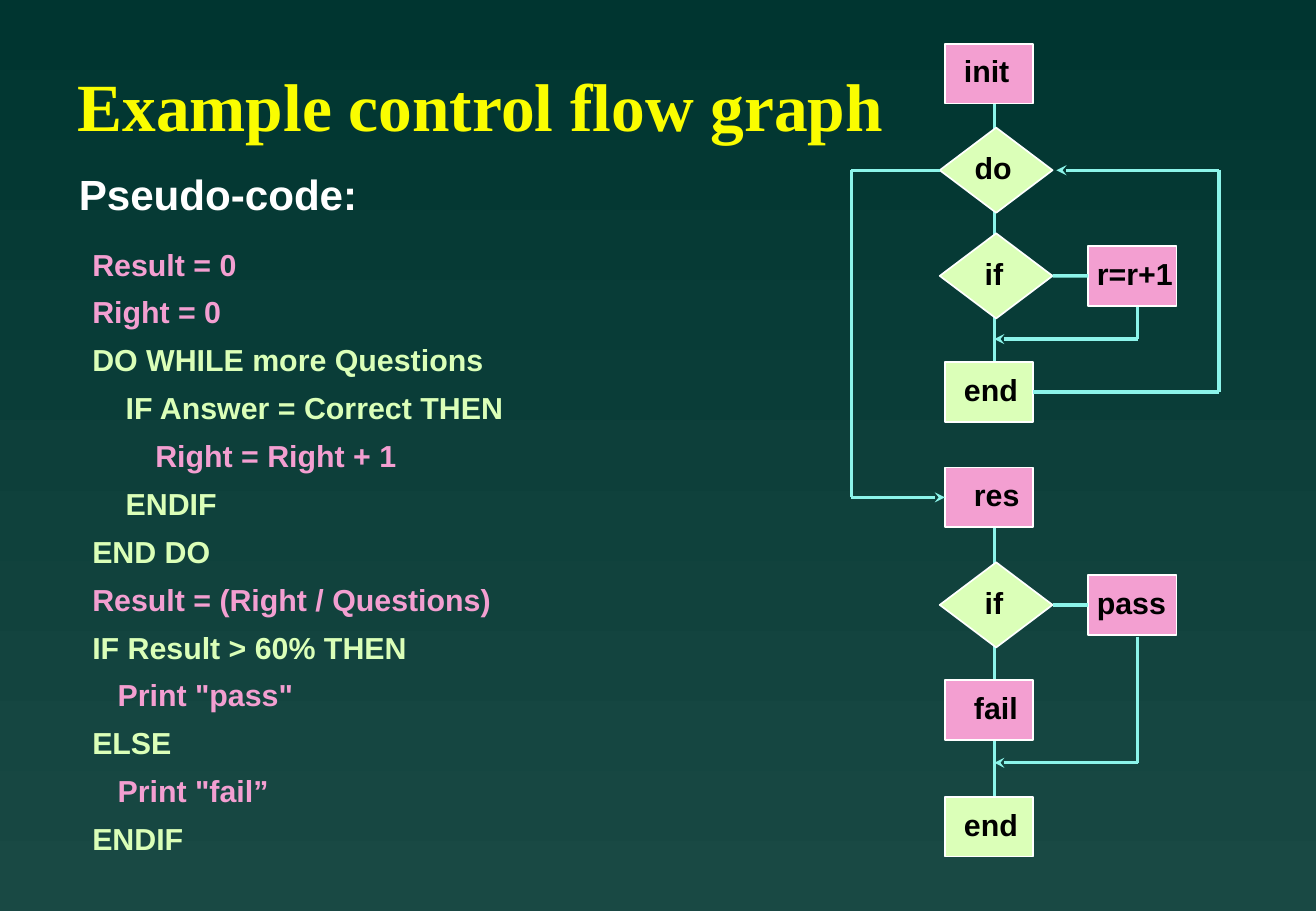
from dataclasses import dataclass
from itertools import pairwise

from lxml.etree import SubElement
from pptx import Presentation
from pptx.dml.color import RGBColor
from pptx.enum.shapes import MSO_CONNECTOR, MSO_SHAPE
from pptx.enum.text import MSO_ANCHOR, MSO_AUTO_SIZE, PP_ALIGN
from pptx.oxml.ns import qn
from pptx.shapes.autoshape import Shape
from pptx.slide import Slide
from pptx.text.text import TextFrame, _Paragraph
from pptx.util import Cm, Pt


@dataclass(frozen=True)
class Theme:
    top: str = "003530"
    base: str = "194944"
    head: str = "FAFD00"
    pink: str = "F39FD1"
    lime: str = "DBFFB8"
    wire: str = "8CF4EA"
    white: str = "FFFFFF"
    black: str = "000000"
    serif: str = "Times New Roman"
    sans: str = "Arial"
    big: int = 40
    mid: int = 25
    small: int = 18


THEME = Theme()
Point = tuple[float, float]


@dataclass(frozen=True)
class Line:
    text: str
    color: str
    indent: float = 0


@dataclass(frozen=True)
class Node:
    """A box or diamond, placed by its centre; pad is the text's left inset."""
    key: str
    text: str
    x: float
    y: float
    color: str
    pad: float
    choice: bool = False


@dataclass(frozen=True)
class Route:
    """A chain of straight lines; start and stop are (node key, side)."""
    points: list[Point]
    start: tuple[str, int] | None = None
    stop: tuple[str, int] | None = None
    arrow: bool = True


CODE = [
    Line("Result = 0", THEME.pink),
    Line("Right = 0", THEME.pink),
    Line("DO WHILE more Questions", THEME.lime),
    Line("IF Answer = Correct THEN", THEME.lime, 0.7),
    Line("Right = Right + 1", THEME.pink, 1.32),
    Line("ENDIF", THEME.lime, 0.7),
    Line("END DO", THEME.lime),
    Line("Result = (Right / Questions)", THEME.pink),
    Line("IF Result > 60% THEN", THEME.lime),
    Line('Print "pass"', THEME.pink, 0.53),
    Line("ELSE", THEME.lime),
    Line('Print "fail”', THEME.pink, 0.53),
    Line("ENDIF", THEME.lime),
]

BOX_X, FORK_X, SIDE_X = 20.69, 20.84, 23.69
SPINE, DROP, LEFT, RIGHT = 20.8, 23.8, 17.81, 25.5
BOX, FORK = (1.85, 1.25), (2.36, 1.78)
DO_Y, IF_Y, END_Y, RES_Y, TEST_Y = 3.56, 5.77, 8.2, 10.4, 12.65

NODES = [
    Node("init", "init", BOX_X, 1.54, THEME.pink, 0.4),
    Node("do", "do", FORK_X, DO_Y, THEME.lime, 0.14, True),
    Node("if", "if", FORK_X, IF_Y, THEME.lime, 0.35, True),
    Node("add", "r=r+1", SIDE_X, IF_Y, THEME.pink, 0.18),
    Node("end", "end", BOX_X, END_Y, THEME.lime, 0.4),
    Node("res", "res", BOX_X, RES_Y, THEME.pink, 0.61),
    Node("test", "if", FORK_X, TEST_Y, THEME.lime, 0.35, True),
    Node("pass", "pass", SIDE_X, TEST_Y, THEME.pink, 0.18),
    Node("fail", "fail", BOX_X, 14.85, THEME.pink, 0.61),
    Node("last", "end", BOX_X, 17.29, THEME.lime, 0.4),
]

SPINES = [
    Route([(SPINE, 1.78), (SPINE, END_Y)], arrow=False),
    Route([(SPINE, RES_Y), (SPINE, 17.1)], arrow=False),
]

ROUTES = [
    Route([(19.66, DO_Y), (LEFT, DO_Y), (LEFT, RES_Y), (19.76, RES_Y)],
          ("do", 1), ("res", 1)),
    Route([(22.02, IF_Y), (22.76, IF_Y)], ("if", 3), ("add", 1), False),
    Route([(22.02, TEST_Y), (22.76, TEST_Y)], ("test", 3), ("pass", 1), False),
    Route([(DROP, 6.43), (DROP, 7.09), (SPINE, 7.09)]),
    Route([(21.61, END_Y), (RIGHT, END_Y), (RIGHT, DO_Y), (22.1, DO_Y)],
          ("end", 3)),
    Route([(DROP, 13.31), (DROP, 15.95), (SPINE, 15.95)]),
]


def paint(slide: Slide) -> None:
    fill = slide.background.fill
    fill.gradient()
    fill.gradient_angle = 270
    for stop, color in zip(fill.gradient_stops, (THEME.top, THEME.base)):
        stop.color.rgb = RGBColor.from_string(color)


def place(shape: Shape, left: float, top: float, wide: float, high: float) -> None:
    shape.left, shape.top = Cm(left), Cm(top)
    shape.width, shape.height = Cm(wide), Cm(high)


def frame(shape: Shape, side: float, edge: float, anchor: MSO_ANCHOR) -> TextFrame:
    """Set the insets and anchor of a shape's text."""
    text = shape.text_frame
    text.word_wrap, text.auto_size = True, MSO_AUTO_SIZE.NONE
    text.vertical_anchor = anchor
    text.margin_left, text.margin_right = Cm(side), 0
    text.margin_top = text.margin_bottom = Cm(edge)
    return text


def write(para: _Paragraph, text: str, color: str, size: int,
          face: str = THEME.sans, space: float = 0.85) -> None:
    para.alignment, para.line_spacing = PP_ALIGN.LEFT, space
    run = para.add_run()
    run.text = text
    font = run.font
    font.name, font.size, font.bold = face, Pt(size), True
    font.color.rgb = RGBColor.from_string(color)


def list_code(text: TextFrame) -> None:
    for row, line in enumerate(CODE):
        para = text.add_paragraph() if row else text.paragraphs[0]
        write(para, line.text, line.color, THEME.small, space=0.86)
        para.space_before = Pt(9.8)
        props = para._p.get_or_add_pPr()
        props.set("marL", str(Cm(line.indent)))
        props.set("indent", "0")
        SubElement(props, qn("a:buNone"))


def draw_node(slide: Slide, node: Node) -> Shape:
    wide, high = FORK if node.choice else BOX
    kind = MSO_SHAPE.DIAMOND if node.choice else MSO_SHAPE.RECTANGLE
    shape = slide.shapes.add_shape(kind, Cm(node.x - wide / 2),
                                   Cm(node.y - high / 2), Cm(wide), Cm(high))
    shape.shadow.inherit = False
    shape.fill.solid()
    shape.fill.fore_color.rgb = RGBColor.from_string(node.color)
    shape.line.color.rgb = RGBColor.from_string(THEME.white)
    shape.line.width = Pt(1)
    text = frame(shape, node.pad, 0, MSO_ANCHOR.MIDDLE)
    write(text.paragraphs[0], node.text, THEME.black, THEME.small)
    return shape


def draw_route(slide: Slide, route: Route, nodes: dict[str, Shape]) -> None:
    legs = []
    for (x, y), (to_x, to_y) in pairwise(route.points):
        leg = slide.shapes.add_connector(MSO_CONNECTOR.STRAIGHT, Cm(x), Cm(y),
                                         Cm(to_x), Cm(to_y))
        leg.line.color.rgb = RGBColor.from_string(THEME.wire)
        leg.line.width = Pt(2)
        SubElement(leg._element.spPr, qn("a:effectLst"))
        legs.append(leg)
    if route.start:
        key, side = route.start
        legs[0].begin_connect(nodes[key], side)
    if route.stop:
        key, side = route.stop
        legs[-1].end_connect(nodes[key], side)
    if route.arrow:
        SubElement(legs[-1].line._get_or_add_ln(), qn("a:tailEnd"), type="stealth")


def main() -> None:
    deck = Presentation()
    deck.slide_width, deck.slide_height = Cm(27.53), Cm(19.05)
    slide = deck.slides.add_slide(deck.slide_layouts[1])
    paint(slide)

    title, body = slide.shapes.title, slide.placeholders[1]
    place(title, 1.37, 1.47, 23.39, 1.7)
    write(frame(title, 0.25, 0.13, MSO_ANCHOR.MIDDLE).paragraphs[0],
          "Example control flow graph", THEME.head, THEME.big, THEME.serif)
    place(body, 1.75, 5.17, 12.78, 12.47)
    list_code(frame(body, 0.18, 0.08, MSO_ANCHOR.TOP))

    label = slide.shapes.add_textbox(Cm(1.47), Cm(3.58), Cm(6.8), Cm(1.07))
    write(frame(label, 0.18, 0.08, MSO_ANCHOR.TOP).paragraphs[0],
          "Pseudo-code:", THEME.white, THEME.mid, space=0.87)

    for spine in SPINES:
        draw_route(slide, spine, {})
    nodes = {node.key: draw_node(slide, node) for node in NODES}
    for route in ROUTES:
        draw_route(slide, route, nodes)
    deck.save("out.pptx")


if __name__ == "__main__":
    main()
